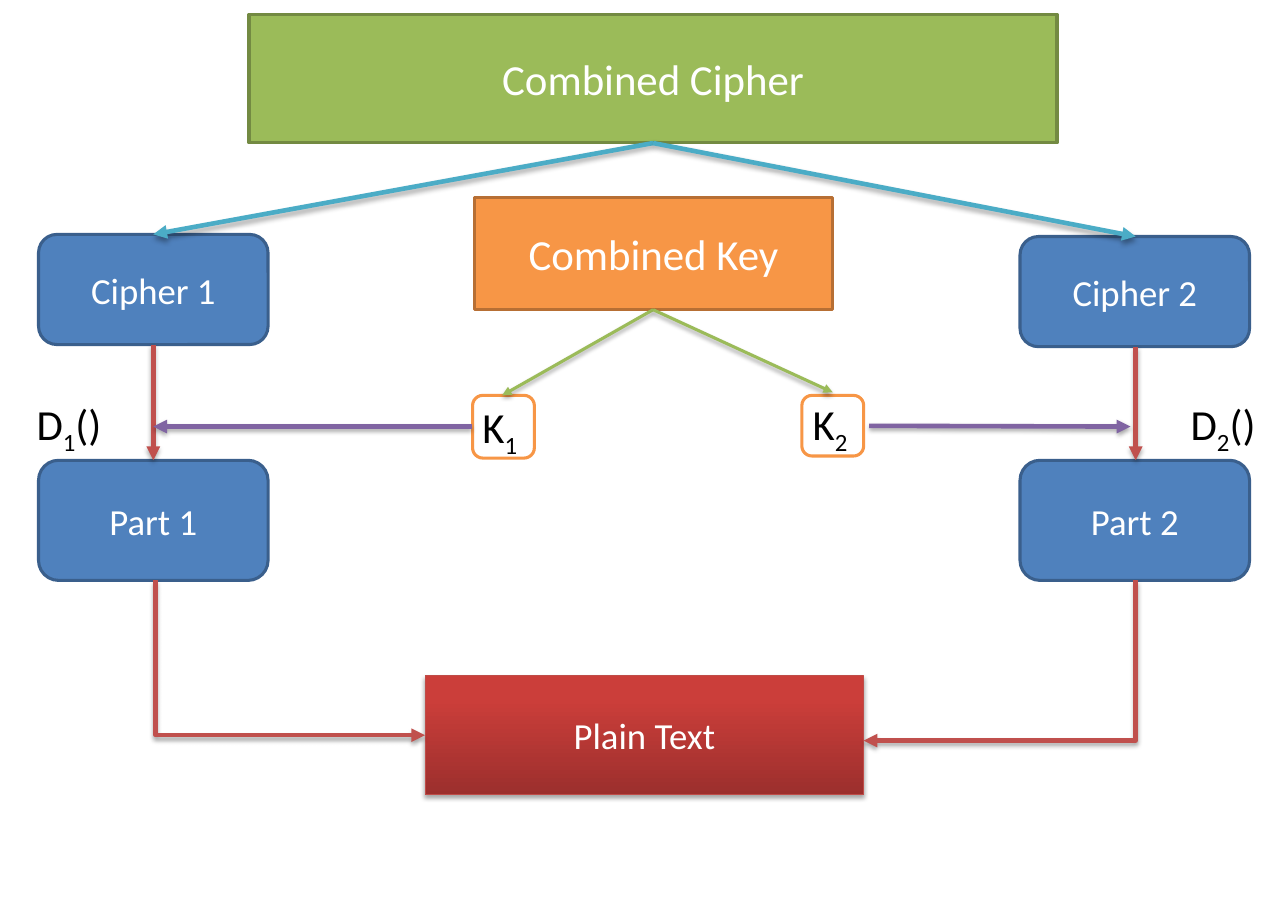
import pptx
import pptx.util
import pptx.dml.color
import pptx.enum.shapes
import pptx.enum.text
import pptx.oxml
import pptx.oxml.ns

Pt = pptx.util.Pt
Color = pptx.dml.color.RGBColor
Kind = pptx.enum.shapes.MSO_SHAPE
Link = pptx.enum.shapes.MSO_CONNECTOR
Align = pptx.enum.text.PP_ALIGN
Anchor = pptx.enum.text.MSO_ANCHOR
qn = pptx.oxml.ns.qn

WHITE = Color(0xFF, 0xFF, 0xFF)
BLACK = Color(0, 0, 0)
ORANGE = Color(0xF7, 0x96, 0x46)
BROWN = Color(0xB7, 0x6F, 0x34)
GREEN = Color(0x9B, 0xBB, 0x59)
OLIVE = Color(0x73, 0x8A, 0x42)
BLUE = Color(0x4F, 0x81, 0xBD)
NAVY = Color(0x3A, 0x5F, 0x8C)
TEAL = Color(0x4B, 0xAC, 0xC6)
RED = Color(0xC0, 0x50, 0x4D)
PURPLE = Color(0x80, 0x64, 0xA2)
EDGE = Color(0xBF, 0x4C, 0x48)
DARK = Color(0x9C, 0x2F, 0x2D)
LIGHT = Color(0xCB, 0x3E, 0x3A)

SHADOW = (
    '<a:effectLst xmlns:a="http://schemas.openxmlformats.org/drawingml/2006/main">'
    '<a:outerShdw blurRad="39370" dist="22860" dir="5400000" rotWithShape="0">'
    '<a:srgbClr val="000000"><a:alpha val="35000"/></a:srgbClr>'
    '</a:outerShdw></a:effectLst>')

deck = pptx.Presentation()
deck.slide_width, deck.slide_height = Pt(841.7), Pt(594.7)
slide = deck.slides.add_slide(deck.slide_layouts[6])
shapes = slide.shapes


def write(shape, parts, size, color):
    """Add runs to a shape; digits that stand alone become subscripts."""
    for part in parts:
        run = shape.text_frame.paragraphs[0].add_run()
        run.text = part
        run.font.name = "Calibri"
        run.font.size = Pt(size)
        run.font.color.rgb = color
        if part.isdigit():
            run.font._element.set("baseline", "-25000")


def arrow(start, end, color, width, kind=Link.STRAIGHT):
    """Draw a shadowed arrow between two points."""
    line = shapes.add_connector(kind, *[Pt(v) for v in start + end])
    line.line.color.rgb = color
    line.line.width = Pt(width)
    props = line.element.spPr
    tail = pptx.oxml.ns.nsdecls("a")
    props.find(qn("a:ln")).append(
        pptx.oxml.parse_xml(f'<a:tailEnd {tail} type="triangle"/>'))
    props.append(pptx.oxml.parse_xml(SHADOW))
    return line


# Boxes: label, left, top, width, height, size, kind, fill, edge, edge width
PLAIN, ROUND = Kind.FLOWCHART_PROCESS, Kind.FLOWCHART_ALTERNATE_PROCESS
boxes = [
    ("Combined Key", 310, 129, 234, 73.5, 28, PLAIN, ORANGE, BROWN, 2),
    ("Combined Cipher", 162.7, 9.4, 528, 84, 28, PLAIN, GREEN, OLIVE, 2),
    ("Plain Text", 277.8, 441.6, 286.6, 77.8, 24, PLAIN, None, EDGE, 0.75),
    ("", 308.8, 258.4, 40.4, 41, 28, ROUND, WHITE, ORANGE, 2),
    ("", 524, 258.4, 40.4, 39.6, 28, ROUND, WHITE, ORANGE, 2),
]
for num, left, top in ((1, 25.2, 153.2), (2, 666.6, 154.6)):
    boxes += [
        (f"Cipher {num}", left, top, 150, 72, 24, ROUND, BLUE, NAVY, 2),
        (f"Part {num}", left, 300.8, 150, 78.5, 24, ROUND, BLUE, NAVY, 2),
    ]

for label, left, top, width, height, size, kind, fill, edge, thick in boxes:
    box = shapes.add_shape(kind, Pt(left), Pt(top), Pt(width), Pt(height))
    box.shadow.inherit = False
    box.line.color.rgb = edge
    box.line.width = Pt(thick)
    if fill is None:
        box.fill.gradient()
        box.fill.gradient_angle = 90
        for stop, color, place in zip(box.fill.gradient_stops, (DARK, LIGHT), (0, 0.8)):
            stop.color.rgb = color
            stop.position = place
        props = box.element.spPr
        props.replace(props.find(qn("a:effectLst")), pptx.oxml.parse_xml(SHADOW))
    else:
        box.fill.solid()
        box.fill.fore_color.rgb = fill
    if label:
        box.text_frame.vertical_anchor = Anchor.MIDDLE
        box.text_frame.paragraphs[0].alignment = Align.CENTER
        write(box, [label], size, WHITE)

# Keys and decryption functions
for parts, left, top, width in (
        (["K", "1"], 308.2, 258.4, 40.4), (["K", "2"], 524, 256.4, 40.4),
        (["D", "1", "()"], 16.8, 256.4, 73.4), (["D", "2", "()"], 771, 256.4, 70.6)):
    note = shapes.add_textbox(Pt(left), Pt(top), Pt(width), Pt(41))
    note.text_frame.word_wrap = True
    write(note, parts, 28, BLACK)

# Arrows
for start, end, color, width in (
        ((426.8, 93.5), (100.2, 153.2), TEAL, 3),
        ((426.8, 93.5), (742.2, 154.6), TEAL, 3),
        ((426.8, 202.4), (328.2, 258.4), GREEN, 2),
        ((426.8, 202.4), (544.2, 256.4), GREEN, 2),
        ((100.2, 225.2), (100.2, 300.8), RED, 3),
        ((742.2, 226.6), (742.2, 300.8), RED, 3),
        ((308.2, 278.8), (100.2, 278.8), PURPLE, 3),
        ((568, 278.3), (738.8, 278.8), PURPLE, 3)):
    arrow(start, end, color, width)

for start, end in (((101.8, 379.3), (277.8, 480.5)),
                   ((742.2, 379.3), (564.4, 484))):
    bend = arrow(start, end, RED, 3, Link.ELBOW)
    guide = bend.element.spPr.find(qn("a:prstGeom")).find(qn("a:avLst"))
    guide.append(pptx.oxml.parse_xml(
        f'<a:gd {pptx.oxml.ns.nsdecls("a")} name="adj1" fmla="val 0"/>'))

deck.save("out.pptx")
